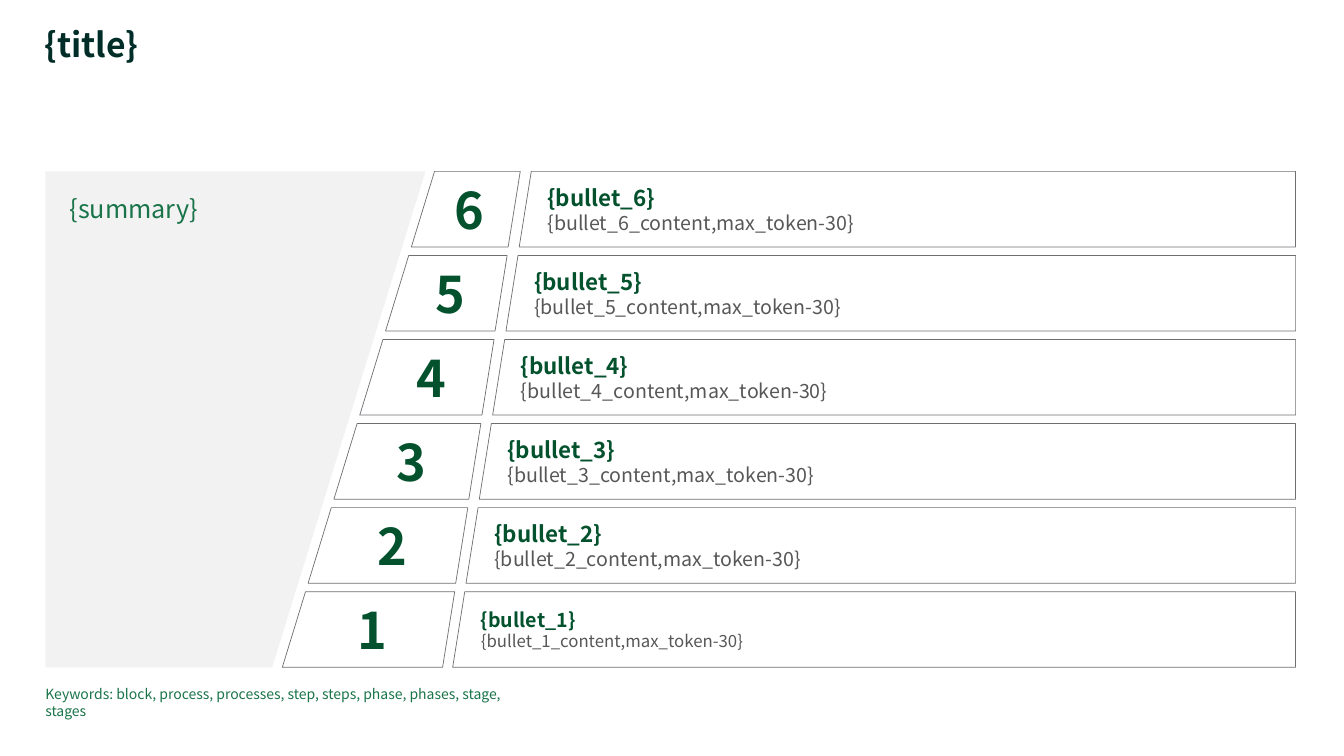
"""Build a slide with a summary panel beside six slanted, numbered steps."""
import pptx
import pptx.util
import pptx.dml.color
import pptx.enum.text
from pptx.util import Inches, Pt

FONT = "Noto Sans CJK JP"
COLORS = {
    "title": "002D28",
    "heading": "03522D",
    "accent": "1A7449",
    "body": "575757",
    "outline": "6E6F73",
    "panel": "F2F2F2",
}
ANCHOR = pptx.enum.text.MSO_ANCHOR
ALIGN = pptx.enum.text.PP_ALIGN
AUTO_SIZE = pptx.enum.text.MSO_AUTO_SIZE


def write_lines(frame, lines, margins, anchor=ANCHOR.TOP, align=ALIGN.LEFT):
    """Fill a text frame with (text, size, colour, bold) lines."""
    frame.word_wrap = True
    frame.vertical_anchor = anchor
    (frame.margin_left, frame.margin_top,
     frame.margin_right, frame.margin_bottom) = map(Inches, margins)
    for index, (text, size, color, bold) in enumerate(lines):
        paragraph = frame.add_paragraph() if index else frame.paragraphs[0]
        paragraph.alignment = align
        run = paragraph.add_run()
        run.text = text
        run.font.name = FONT
        run.font.size = Pt(size)
        run.font.bold = bold
        run.font.color.rgb = pptx.dml.color.RGBColor.from_string(COLORS[color])
    return frame.paragraphs[0]


def draw_block(points, fill=None):
    """Draw a closed polygon, filled without a line or outlined without a fill."""
    corners = [(Inches(x), Inches(y)) for x, y in points]
    builder = slide.shapes.build_freeform(*corners[0])
    builder.add_line_segments(corners[1:], close=True)
    block = builder.convert_to_shape()
    block.shadow.inherit = False
    if fill:
        block.fill.solid()
        block.fill.fore_color.rgb = pptx.dml.color.RGBColor.from_string(COLORS[fill])
        block.line.fill.background()
    else:
        block.fill.background()
        block.line.width = Pt(0.5)
        block.line.color.rgb = pptx.dml.color.RGBColor.from_string(COLORS["outline"])
    return block


deck = pptx.Presentation()
deck.slide_width = Inches(13.33)
deck.slide_height = Inches(7.5)
slide = deck.slides.add_slide(deck.slide_layouts[5])

title = slide.shapes.title
title.left, title.top = Inches(0.44), Inches(0.28)
title.width, title.height = Inches(11.03), Inches(0.37)
title_line = write_lines(title.text_frame, [("{title}", 24, "title", True)], (0, 0, 0, 0))
title_line.line_spacing = 0.9
title.text_frame.auto_size = AUTO_SIZE.SHAPE_TO_FIT_TEXT

first_top, last_bottom = 1.7, 6.62
step_height = 0.75
step_count = 6
pitch = (last_bottom - first_top - step_height) / (step_count - 1)
right_edge = 12.85

summary = draw_block(
    [(0.45, first_top), (4.22, first_top), (2.7, last_bottom), (0.45, last_bottom)],
    "panel")
summary_line = write_lines(
    summary.text_frame, [("{summary}", 18, "accent", False)], (0.24, 0.16, 0.24, 0))
summary_line.line_spacing = 1.2
summary_line.space_after = Pt(12)

for row in range(step_count):
    step = step_count - row
    top = first_top + row * pitch
    bottom = top + step_height
    number_left = 4.31 - row * 0.256
    number_right = 5.16 - row * 0.13
    content_left = 5.27 - row * 0.132

    number = draw_block([(number_left, top), (number_right, top),
                         (number_right - 0.12, bottom), (number_left - 0.23, bottom)])
    write_lines(number.text_frame, [(str(step), 36, "heading", True)],
                (0.08, 0, 0, 0), ANCHOR.MIDDLE, ALIGN.CENTER)

    content = draw_block([(content_left, top), (right_edge, top),
                          (right_edge, bottom), (content_left - 0.12, bottom)])
    heading_size = 14 if step == 1 else 16
    write_lines(content.text_frame,
                [(f"{{bullet_{step}}}", heading_size, "heading", True),
                 (f"{{bullet_{step}_content,max_token-30}}", heading_size - 2, "body", False)],
                (0.28, 0, 0.08, 0), ANCHOR.MIDDLE)

keywords = slide.shapes.add_textbox(Inches(0.45), Inches(6.8), Inches(4.93), Inches(0.17))
keywords_line = write_lines(
    keywords.text_frame,
    [("Keywords: block, process, processes, step, steps, phase, phases, stage, stages",
      10, "accent", False)],
    (0, 0, 0, 0))
keywords_line.space_after = Pt(1.1)

deck.save("out.pptx")
